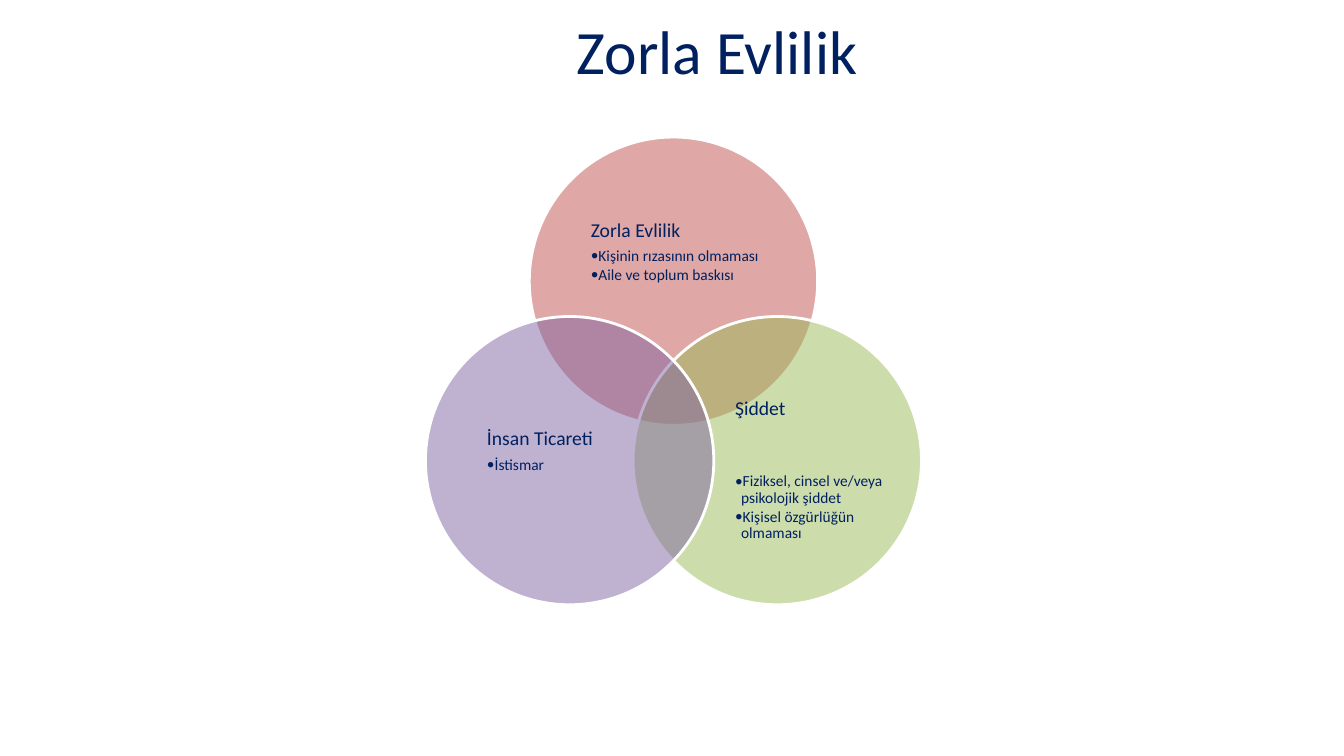
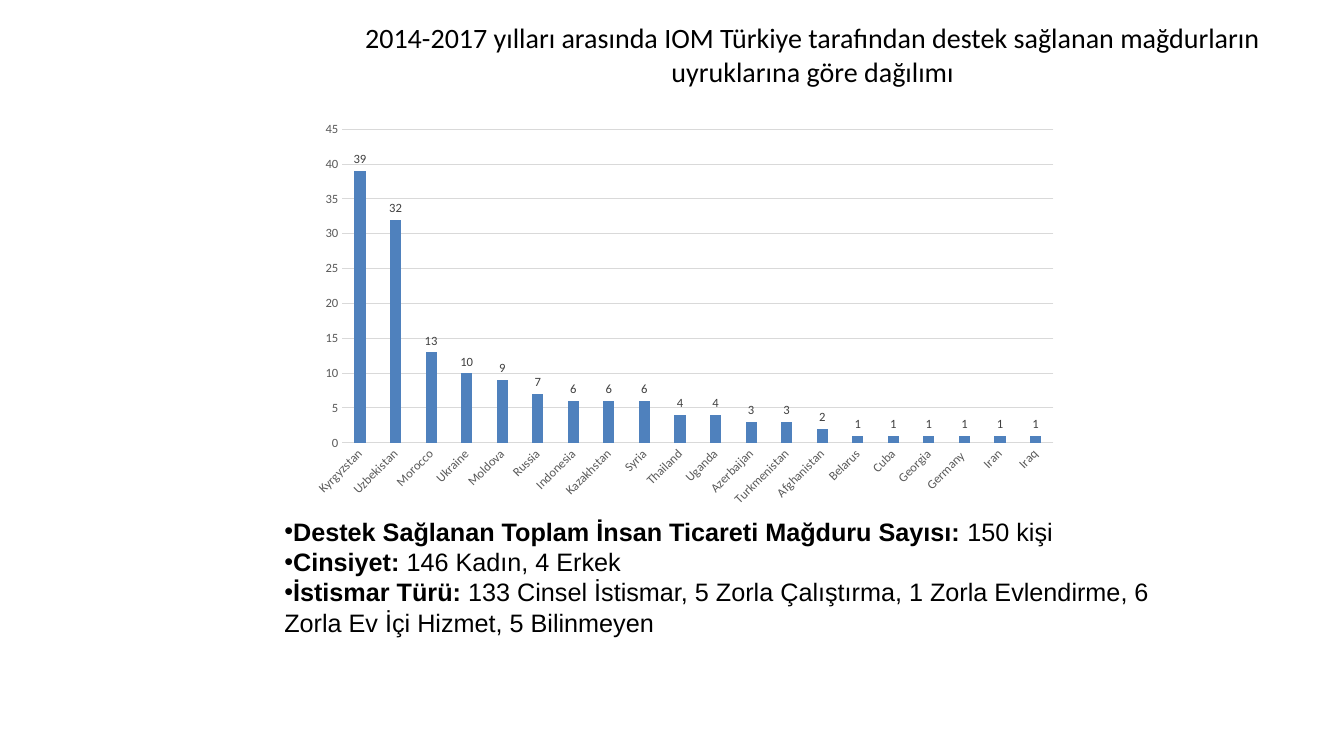
from lxml.etree import SubElement
from pptx import Presentation
from pptx.chart.data import CategoryChartData
from pptx.dml.color import RGBColor
from pptx.enum.chart import XL_CHART_TYPE, XL_LABEL_POSITION, XL_TICK_MARK
from pptx.enum.shapes import MSO_SHAPE
from pptx.enum.text import MSO_ANCHOR, MSO_AUTO_SIZE, PP_ALIGN
from pptx.oxml.ns import qn
from pptx.util import Pt

PX = 9144  # 100 px to the inch
NAVY = RGBColor(0x00, 0x20, 0x60)
BLACK = RGBColor(0x00, 0x00, 0x00)
WHITE = RGBColor(0xFF, 0xFF, 0xFF)
RED = RGBColor(0xC0, 0x50, 0x4D)
GREEN = RGBColor(0x9B, 0xBB, 0x59)
PURPLE = RGBColor(0x80, 0x64, 0xA2)
BLUE = RGBColor(0x4F, 0x81, 0xBD)
GRID_GREY = RGBColor(0xD9, 0xD9, 0xD9)
AXIS_GREY = RGBColor(0x59, 0x59, 0x59)
LABEL_GREY = RGBColor(0x40, 0x40, 0x40)

HEADING_FORMAT = {"line_spacing": 0.9, "space_after": Pt(4.9)}
DETAIL_FORMAT = {"line_spacing": 0.9, "space_after": Pt(1.65), "level": 1}
FRAME_FORMAT = {"word_wrap": True, "auto_size": MSO_AUTO_SIZE.NONE,
                "vertical_anchor": MSO_ANCHOR.MIDDLE}
NO_MARGINS = dict.fromkeys(
    ("margin_left", "margin_top", "margin_right", "margin_bottom"), 0)

CIRCLE_SIZE = 286
# Circle offset in the diagram, colour, text box in the circle, heading,
# extra points below the heading, details
CIRCLES = [
    ((103, 0), RED, (61, 50, 188, 128), "Zorla Evlilik", 0,
     ["Kişinin rızasının olmaması", "Aile ve toplum baskısı"]),
    ((206, 178), GREEN, (101, 74, 158, 157), "Şiddet", 33.6,
     ["Fiziksel, cinsel ve/veya psikolojik şiddet",
      "Kişisel özgürlüğün olmaması"]),
    ((0, 178), PURPLE, (61, 55, 139, 157), "İnsan Ticareti", 0, ["İstismar"]),
]
VICTIMS = {
    "Kyrgyzstan": 39, "Uzbekistan": 32, "Morocco": 13, "Ukraine": 10,
    "Moldova": 9, "Russia": 7, "Indonesia": 6, "Kazakhstan": 6, "Syria": 6,
    "Thailand": 4, "Uganda": 4, "Azerbaijan": 3, "Turkmenistan": 3,
    "Afghanistan": 2, "Belarus": 1, "Cuba": 1, "Georgia": 1, "Germany ": 1,
    "Iran": 1, "Iraq": 1,
}
FACTS = [
    ("Destek Sağlanan Toplam İnsan Ticareti Mağduru Sayısı:", " 150 kişi"),
    ("Cinsiyet:", " 146 Kadın, 4 Erkek"),
    ("İstismar Türü:", " 133 Cinsel İstismar, 5 Zorla Çalıştırma, "
     "1 Zorla Evlendirme, 6 Zorla Ev İçi Hizmet, 5 Bilinmeyen"),
]


def to_emu(box):
    return [length * PX for length in box]


def set_attributes(target, values):
    for name, value in values.items():
        setattr(target, name, value)


def set_font(font, size, color, name="Calibri", bold=False):
    set_attributes(font, {"size": Pt(size), "name": name, "bold": bold})
    font.color.rgb = color


def set_bullet(paragraph, indent, font_name):
    """Give the paragraph a round bullet hanging by indent px."""
    properties = paragraph._p.get_or_add_pPr()
    properties.set("marL", str(indent * PX))
    properties.set("indent", str(-indent * PX))
    SubElement(properties, qn("a:buFont")).set("typeface", font_name)
    SubElement(properties, qn("a:buChar")).set("char", "•")


def move(shape, box):
    set_attributes(shape, dict(zip(("left", "top", "width", "height"), to_emu(box))))


def add_titled_slide(presentation, layout_index, title, box, size, color):
    slide = presentation.slides.add_slide(presentation.slide_layouts[layout_index])
    shape = slide.shapes.title
    move(shape, box)
    set_attributes(shape.text_frame, FRAME_FORMAT)
    paragraph = shape.text_frame.paragraphs[0]
    paragraph.alignment = PP_ALIGN.CENTER
    run = paragraph.add_run()
    run.text = title
    set_font(run.font, size, color)
    return slide


def add_circle(slide, box, color):
    circle = slide.shapes.add_shape(MSO_SHAPE.OVAL, *to_emu(box))
    circle.shadow.inherit = False
    circle.fill.solid()
    circle.fill.fore_color.rgb = color
    for color_element in circle.fill._xPr.iterfind(qn("a:solidFill") + "/" + qn("a:srgbClr")):
        SubElement(color_element, qn("a:alpha")).set("val", "50000")
    circle.line.color.rgb = WHITE
    circle.line.width = Pt(2)


def add_circle_text(slide, box, heading, extra_gap, details):
    frame = slide.shapes.add_textbox(*to_emu(box)).text_frame
    set_attributes(frame, FRAME_FORMAT | NO_MARGINS)
    for index, text in enumerate([heading, *details]):
        paragraph = frame.add_paragraph() if index else frame.paragraphs[0]
        set_attributes(paragraph, DETAIL_FORMAT if index else HEADING_FORMAT)
        if index:
            set_bullet(paragraph, 6, "Calibri")
        else:
            paragraph.space_after += Pt(extra_gap)
        run = paragraph.add_run()
        run.text = text
        set_font(run.font, 11 if index else 14, NAVY)


def add_venn(slide, left, top):
    for (dx, dy), color, (x, y, width, height), heading, extra_gap, details in CIRCLES:
        circle_left, circle_top = left + dx, top + dy
        add_circle(slide, (circle_left, circle_top, CIRCLE_SIZE, CIRCLE_SIZE), color)
        add_circle_text(slide, (circle_left + x, circle_top + y, width, height),
                        heading, extra_gap, details)


def format_axes(chart):
    category_axis, value_axis = chart.category_axis, chart.value_axis
    for axis in (category_axis, value_axis):
        axis.major_tick_mark = axis.minor_tick_mark = XL_TICK_MARK.NONE
        set_font(axis.tick_labels.font, 9, AXIS_GREY)
    for body in category_axis._element.iter(qn("a:bodyPr")):
        body.set("rot", "-2700000")
    value_axis.has_major_gridlines = True
    for line in (category_axis.format.line, value_axis.major_gridlines.format.line):
        line.color.rgb = GRID_GREY
        line.width = Pt(0.75)
    value_axis.format.line.fill.background()
    set_attributes(value_axis, {"minimum_scale": 0, "maximum_scale": 45, "major_unit": 5})


def add_victims_chart(slide, box):
    data = CategoryChartData()
    data.categories = list(VICTIMS)
    data.add_series("Series 1", list(VICTIMS.values()))
    chart = slide.shapes.add_chart(
        XL_CHART_TYPE.COLUMN_CLUSTERED, *to_emu(box), data).chart
    set_attributes(chart, {"has_legend": False, "has_title": False})
    set_font(chart.font, 10, BLACK)
    format_axes(chart)
    plot = chart.plots[0]
    set_attributes(plot, {"gap_width": 219, "overlap": -27,
                          "vary_by_categories": False, "has_data_labels": True})
    set_attributes(plot.data_labels, {"show_value": True,
                                      "position": XL_LABEL_POSITION.OUTSIDE_END})
    set_font(plot.data_labels.font, 9, LABEL_GREY)
    fill = plot.series[0].format.fill
    fill.solid()
    fill.fore_color.rgb = BLUE


def fill_facts(body, box):
    move(body, box)
    frame = body.text_frame
    set_attributes(frame, FRAME_FORMAT)
    for index, fact in enumerate(FACTS):
        paragraph = frame.add_paragraph() if index else frame.paragraphs[0]
        paragraph.space_before = Pt(0)
        set_bullet(paragraph, 0, "Arial")
        for text, bold in zip(fact, (True, False)):
            run = paragraph.add_run()
            run.text = text
            set_font(run.font, 18, BLACK, "Arial", bold)


def build_venn_slide(presentation):
    slide = add_titled_slide(presentation, 5, "Zorla Evlilik",
                             (145, -31, 1133, 161), 44, NAVY)
    add_venn(slide, 422, 136)


def build_victims_slide(presentation):
    slide = add_titled_slide(
        presentation, 1,
        "2014-2017 yılları arasında IOM Türkiye tarafından destek sağlanan "
        "mağdurların uyruklarına göre dağılımı",
        (299, -17, 1014, 142), 20, BLACK)
    add_victims_chart(slide, (298, 113, 762, 398))
    fill_facts(slide.placeholders[1], (272, 507, 893, 130))


def main():
    presentation = Presentation()
    presentation.slide_width, presentation.slide_height = to_emu((1333, 750))
    build_venn_slide(presentation)
    build_victims_slide(presentation)
    presentation.save("out.pptx")


if __name__ == "__main__":
    main()
